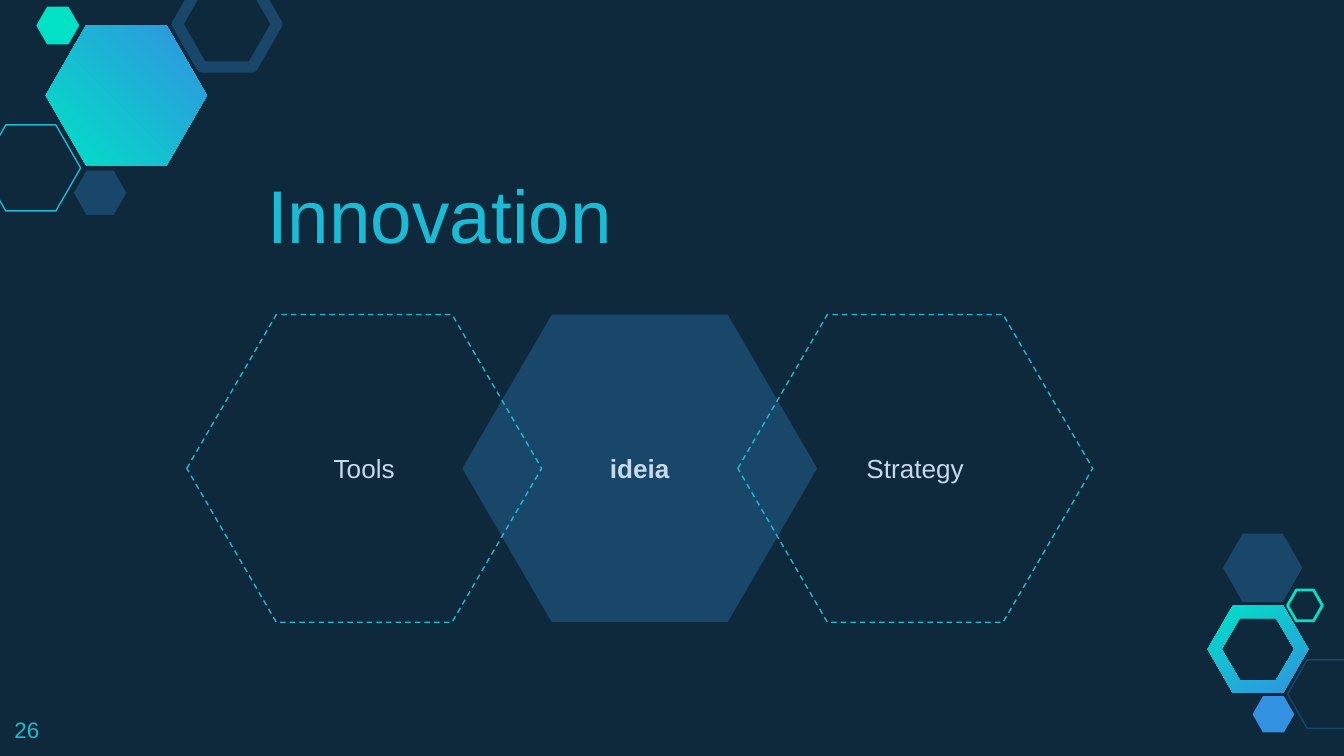
from pptx import Presentation, util as u
from pptx.dml.color import RGBColor
from pptx.enum import dml, shapes, text

THEME = {
    "font": "Arial", "title_size": 40, "body_size": 14, "number_size": 12,
    "background": "0E293C", "navy": "184769", "cyan": "19BBD5",
    "mint": "00E1C6", "blue": "3292E1", "pale": "C6DAEC",
}
SLIDE_WIDTH = 10
SLIDE_SIZE = (SLIDE_WIDTH, SLIDE_WIDTH * 9 / 16)

# Decoration: left, top, width, height, fill, line, line width
DECORATION = [
    (-0.14, 0.93, 0.74, 0.64, None, "cyan", 0.75),
    (0.55, 1.27, 0.39, 0.33, "navy", None, 0),
    (1.32, -0.14, 0.74, 0.64, None, "navy", 6),
    (0.27, 0.05, 0.32, 0.28, "mint", None, 0),
    (9.58, 4.91, 0.59, 0.51, None, "navy", 0.75),
    (9.32, 5.18, 0.31, 0.27, "blue", None, 0),
    (9.10, 3.97, 0.59, 0.51, "navy", None, 0),
    (9.58, 4.39, 0.26, 0.23, None, "mint", 1.5),
]
# Gradient figures: centre, contour sizes from outside in, gradient angle
GRADIENT_FIGURES = [
    ((9.36, 4.83), [(0.75, 0.65), (0.54, 0.46)], 300),
    ((0.94, 0.71), [(1.20, 1.04)], 45),
]
# Diagram: column and label, from back to front; the filled one is the core
CORE = "ideia"
DIAGRAM_BACK = [(1, CORE)]
DIAGRAM_FRONT = [(0, "Tools"), (2, "Strategy")]
DIAGRAM_LEFT, DIAGRAM_TOP, COLUMN_STEP = 1.39, 2.34, 2.05
CELL_SIZE = (2.64, 2.29)


def color(name):
    return RGBColor.from_string(THEME[name])


def write(shape, words, size, color_name, anchor, align, bold=False):
    frame = shape.text_frame
    frame.word_wrap = True
    frame.vertical_anchor = anchor
    frame.margin_left = frame.margin_right = u.Inches(0.1)
    frame.margin_top = frame.margin_bottom = u.Inches(0.1)
    paragraph = frame.paragraphs[0]
    paragraph.text = words
    paragraph.alignment = align
    font = paragraph.font
    font.name, font.size, font.bold = THEME["font"], u.Pt(THEME[size]), bold
    font.color.rgb = color(color_name)


def add_hexagon(slide, box, adjustment, fill=None, line=None, width=0.75):
    shape = slide.shapes.add_shape(
        shapes.MSO_SHAPE.HEXAGON, *[u.Inches(value) for value in box])
    shape.shadow.inherit = False
    shape.adjustments[0] = adjustment
    if fill:
        shape.fill.solid()
        shape.fill.fore_color.rgb = color(fill)
    else:
        shape.fill.background()
    if line:
        shape.line.color.rgb = color(line)
        shape.line.width = u.Pt(width)
    else:
        shape.line.fill.background()
    return shape


def hexagon_points(center, size):
    x, y = center
    width, height = size
    steps = [(-2, 0), (-1, -1), (1, -1), (2, 0), (1, 1), (-1, 1)]
    return [(u.Inches(x + across * width / 4), u.Inches(y + down * height / 2))
            for across, down in steps]


def add_gradient_figure(slide, center, sizes, angle):
    """Draw nested hexagon contours; a second contour becomes a hole."""
    outer, *holes = [hexagon_points(center, size) for size in sizes]
    builder = slide.shapes.build_freeform(*outer[0])
    builder.add_line_segments(outer[1:], close=True)
    for hole in holes:
        hole.reverse()
        builder.move_to(*hole[0])
        builder.add_line_segments(hole[1:], close=True)
    shape = builder.convert_to_shape()
    shape.shadow.inherit = False
    shape.line.fill.background()
    shape.fill.gradient()
    shape.fill.gradient_angle = angle
    for stop, name in zip(shape.fill.gradient_stops, ("mint", "blue")):
        stop.color.rgb = color(name)


def add_diagram_cells(slide, cells):
    for column, label in cells:
        is_core = label == CORE
        box = (DIAGRAM_LEFT + column * COLUMN_STEP, DIAGRAM_TOP, *CELL_SIZE)
        shape = add_hexagon(slide, box, 0.291, "navy" if is_core else None,
                            None if is_core else "cyan")
        if not is_core:
            shape.line.dash_style = dml.MSO_LINE.DASH
        write(shape, label, "body_size", "pale", text.MSO_ANCHOR.MIDDLE,
              text.PP_ALIGN.CENTER, is_core)


def add_label(slide, box, *style):
    write(slide.shapes.add_textbox(*[u.Inches(value) for value in box]), *style)


def main():
    presentation = Presentation()
    presentation.slide_width, presentation.slide_height = map(u.Inches, SLIDE_SIZE)
    slide = presentation.slides.add_slide(presentation.slide_layouts[6])
    slide.background.fill.solid()
    slide.background.fill.fore_color.rgb = color("background")

    for figure in GRADIENT_FIGURES:
        add_gradient_figure(slide, *figure)
    for *box, fill, line, width in DECORATION:
        add_hexagon(slide, box, 0.287, fill, line, width)

    add_diagram_cells(slide, DIAGRAM_BACK)
    add_label(slide, (1.89, 1.31, 5.41, 0.71), "Innovation", "title_size",
              "cyan", text.MSO_ANCHOR.BOTTOM, text.PP_ALIGN.LEFT)
    add_diagram_cells(slide, DIAGRAM_FRONT)
    add_label(slide, (0.01, 5.23, 0.6, 0.39), "26", "number_size",
              "cyan", text.MSO_ANCHOR.TOP, text.PP_ALIGN.LEFT)
    presentation.save("out.pptx")


if __name__ == "__main__":
    main()
